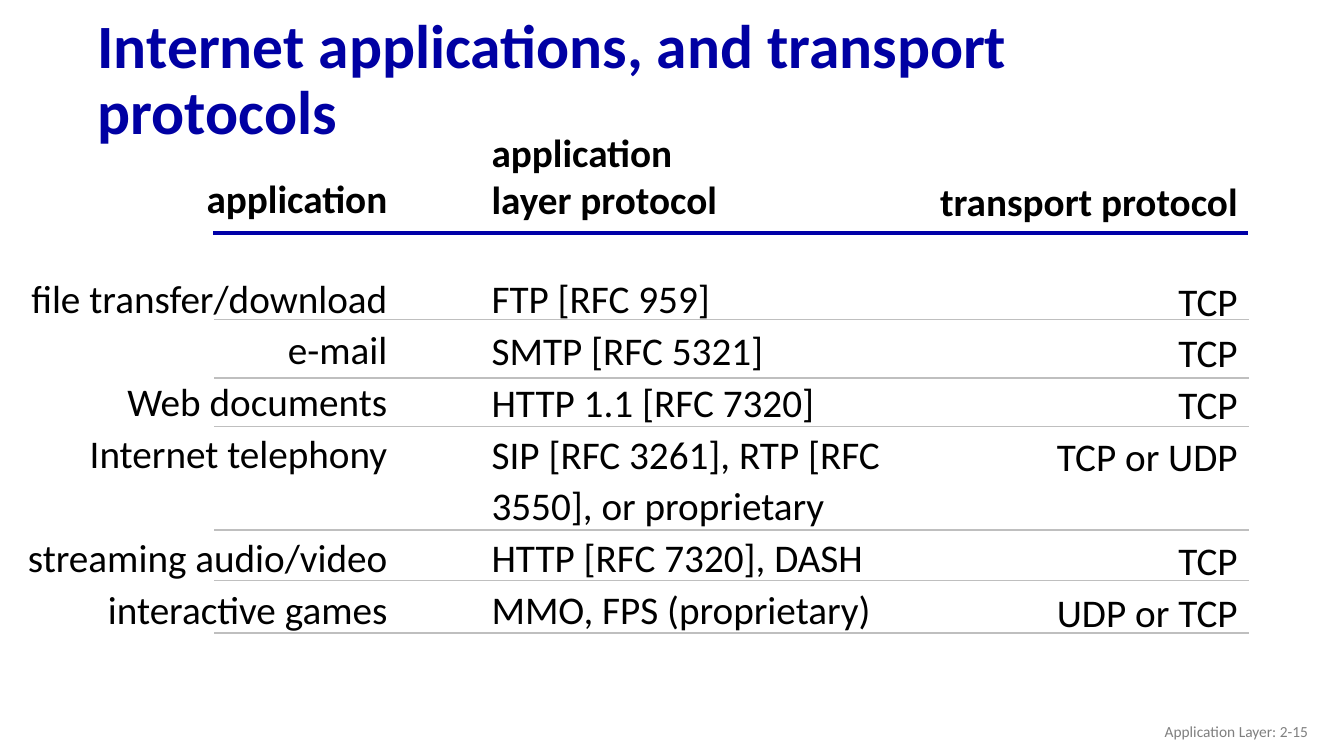
"""Builds a slide listing Internet applications and their transport protocols."""
from lxml import etree
from pptx import Presentation
from pptx.dml.color import RGBColor
from pptx.enum.shapes import MSO_CONNECTOR
from pptx.enum.text import MSO_ANCHOR, PP_ALIGN
from pptx.oxml.ns import qn
from pptx.util import Cm, Pt

LEFT, RIGHT = PP_ALIGN.LEFT, PP_ALIGN.RIGHT
TOP, MIDDLE = MSO_ANCHOR.TOP, MSO_ANCHOR.MIDDLE
STRAIGHT = MSO_CONNECTOR.STRAIGHT

FONT = "Calibri"
COLORS = {"title": "0000A3", "header_rule": "0000A8", "row_rule": "BFBFBF",
          "text": "000000", "footer": "7F7F7F"}
BODY_SIZE = 28
HEADER_GAP = 34.2
ROW_GAP = 37.6
ROW_SPACING = 1.1

APPLICATIONS = ["file transfer/download", "e-mail", "Web documents", "Internet telephony",
                "streaming audio/video", "interactive games"]
APP_PROTOCOLS = ["FTP [RFC 959]", "SMTP [RFC 5321]", "HTTP 1.1 [RFC 7320]",
                 "SIP [RFC 3261], RTP [RFC 3550], or proprietary",
                 "HTTP [RFC 7320], DASH", "MMO, FPS (proprietary)"]
TRANSPORTS = ["TCP", "TCP", "TCP", "TCP or UDP", "TCP", "UDP or TCP"]
TWO_LINE_ROW = 3
ROW_RULES = [8.05, 9.52, 10.75, 13.36, 14.63, 15.96]


def add_box(s, box, anchor=TOP):
    """Add a wrapping text box and return its text frame."""
    tf = s.shapes.add_textbox(*(Cm(v) for v in box)).text_frame
    tf.word_wrap = True
    tf.vertical_anchor = anchor
    return tf


def add_text(p, text, size, color, bold=False, align=LEFT):
    """Fill a paragraph with one formatted run."""
    p.alignment = align
    r = p.add_run()
    r.text = text
    r.font.name = FONT
    r.font.size = Pt(size)
    r.font.bold = bold
    r.font.color.rgb = RGBColor.from_string(COLORS[color])


def add_title(s, box, text):
    """Place the slide title."""
    p = add_box(s, box, MIDDLE).paragraphs[0]
    p.line_spacing = 0.9
    add_text(p, text, 44, "title", bold=True)


def add_column(s, box, header, rows, align, tall_row=None):
    """Place a column with bold header lines, leaving room below a tall row."""
    tf = add_box(s, box)
    for i, line in enumerate(header):
        p = tf.paragraphs[0] if i == 0 else tf.add_paragraph()
        add_text(p, line, BODY_SIZE, "text", bold=True, align=align)
    p.space_after = Pt(HEADER_GAP)
    for i, row in enumerate(rows):
        p = tf.add_paragraph()
        p.line_spacing = ROW_SPACING
        add_text(p, row, BODY_SIZE, "text", align=align)
        if i == tall_row:
            p.space_after = Pt(ROW_GAP)


def add_rule(s, x, y, width, color, weight):
    """Draw one horizontal rule."""
    line = s.shapes.add_connector(STRAIGHT, Cm(x), Cm(y), Cm(x + width), Cm(y))
    line.line.color.rgb = RGBColor.from_string(COLORS[color])
    line.line.width = Pt(weight)
    etree.SubElement(line._element.spPr, qn("a:effectLst"))


def add_rules(s, box):
    """Draw the header rule at the top of the box and the row rules below it."""
    x, y, width, _ = box
    add_rule(s, x, y, width, "header_rule", 2.5)
    for row_y in ROW_RULES:
        add_rule(s, x + 0.03, row_y, width, "row_rule", 1.25)


def add_footer(s, box, text):
    """Place the page label."""
    p = add_box(s, box, MIDDLE).paragraphs[0]
    add_text(p, text, 11, "footer", align=RIGHT)


def main():
    """Build and save the slide."""
    prs = Presentation()
    prs.slide_width, prs.slide_height = Cm(33.87), Cm(19.05)
    s = prs.slides.add_slide(prs.slide_layouts[6])
    add_title(s, (2.21, 0.81, 29.21, 2.49), "Internet applications, and transport protocols")
    add_column(s, (0.33, 4.27, 9.68, 11.81), ["application"], APPLICATIONS, RIGHT, TWO_LINE_ROW)
    add_rules(s, (5.37, 5.87, 26.07, 10.1))
    add_column(s, (12.14, 3.1, 11.18, 14.33), ["application", "layer protocol"],
               APP_PROTOCOLS, LEFT)
    add_column(s, (23.34, 4.34, 8.1, 11.81), ["transport protocol"], TRANSPORTS, RIGHT,
               TWO_LINE_ROW)
    add_footer(s, (25.6, 17.91, 7.62, 1.02), "Application Layer: 2-15")
    prs.save("out.pptx")


if __name__ == "__main__":
    main()
